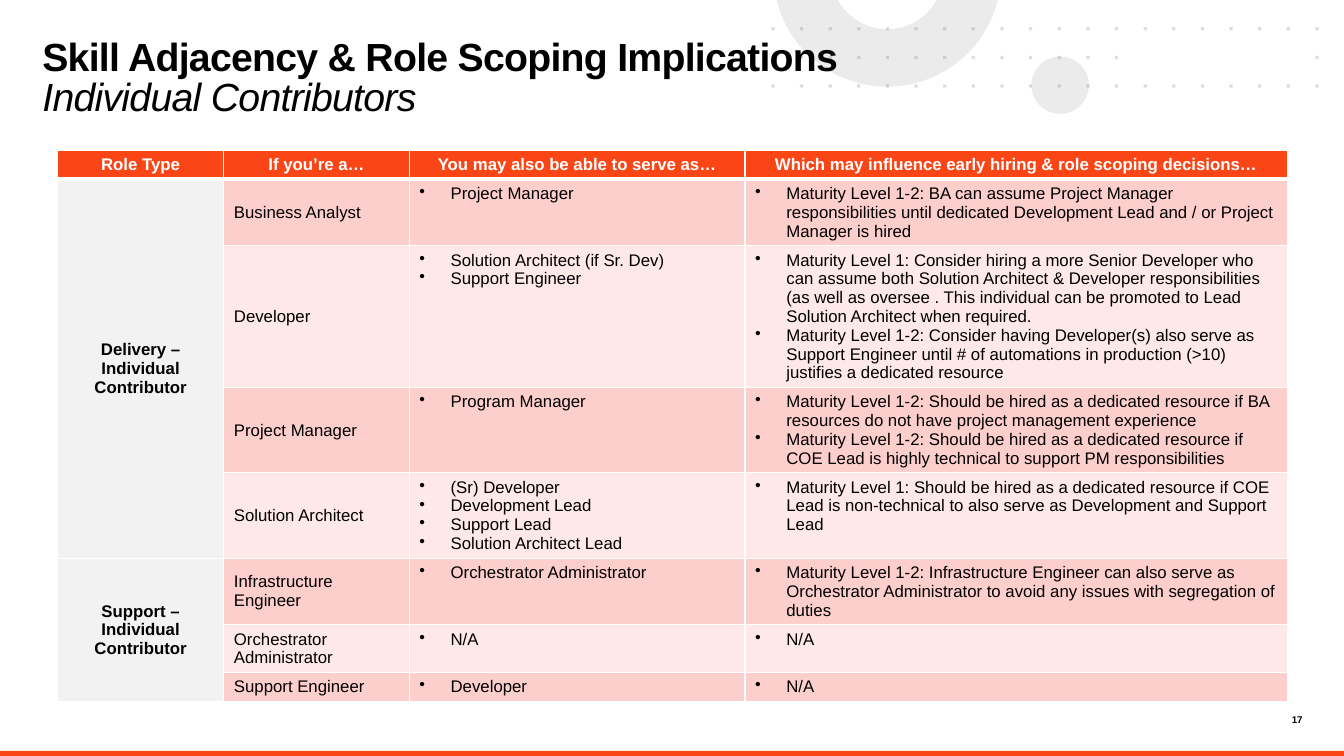
import math
from dataclasses import dataclass
from typing import Any

import pptx
import pptx.dml.color
import pptx.enum.shapes
import pptx.enum.text
import pptx.oxml
import pptx.oxml.ns
import pptx.util

GRID_COLUMNS, GRID_ROWS = 133.3, 75
SLIDE_WIDTH, SLIDE_HEIGHT = pptx.util.Inches(13.33), pptx.util.Inches(7.5)
ORANGE, WHITE, BLACK = "FA4616", "FFFFFF", "000000"
GROUP_FILL, BAND_FILLS = "F2F2F2", ("FDCFCC", "FEE9E8")
ALIGN = pptx.enum.text.PP_ALIGN
ANCHOR = pptx.enum.text.MSO_ANCHOR
PRESET = pptx.enum.shapes.MSO_SHAPE
NO_INSETS = dict(margin_left=0, margin_right=0, margin_top=0, margin_bottom=0,
                 word_wrap=True, vertical_anchor=ANCHOR.TOP,
                 auto_size=pptx.enum.text.MSO_AUTO_SIZE.NONE)


@dataclass(frozen=True)
class Role:
    name: str
    row_height: float
    also_serves: tuple[str, ...]
    influences: tuple[str, ...]


@dataclass(frozen=True)
class RoleGroup:
    name: str
    roles: tuple[Role, ...]


@dataclass(frozen=True)
class Heading:
    text: str
    width: float


HEADINGS = (
    Heading("Role Type", 16.5),
    Heading("If you’re a…", 18.4),
    Heading("You may also be able to serve as…", 33.3),
    Heading("Which may influence early hiring & role scoping decisions…", 53.8),
)
GROUPS = (
    RoleGroup("Delivery – Individual Contributor", (
        Role("Business Analyst", 6.1, ("Project Manager",), (
            "Maturity Level 1-2: BA can assume Project Manager responsibilities until dedicated "
            "Development Lead and / or Project Manager is hired",)),
        Role("Developer", 13.2, ("Solution Architect (if Sr. Dev)", "Support Engineer"), (
            "Maturity Level 1: Consider hiring a more Senior Developer who can assume both "
            "Solution Architect & Developer responsibilities (as well as oversee . This individual "
            "can be promoted to Lead Solution Architect when required.",
            "Maturity Level 1-2: Consider having Developer(s) also serve as Support Engineer until "
            "# of automations in production (>10) justifies a dedicated resource")),
        Role("Project Manager", 7.9, ("Program Manager",), (
            "Maturity Level 1-2: Should be hired as a dedicated resource if BA resources do not "
            "have project management experience",
            "Maturity Level 1-2: Should be hired as a dedicated resource if COE Lead is highly "
            "technical to support PM responsibilities")),
        Role("Solution Architect", 7.9,
             ("(Sr) Developer", "Development Lead", "Support Lead", "Solution Architect Lead"), (
                 "Maturity Level 1: Should be hired as a dedicated resource if COE Lead is "
                 "non-technical to also serve as Development and Support Lead",)),
    )),
    RoleGroup("Support – Individual Contributor", (
        Role("Infrastructure Engineer", 6.1, ("Orchestrator Administrator",), (
            "Maturity Level 1-2: Infrastructure Engineer can also serve as Orchestrator "
            "Administrator to avoid any issues with segregation of duties",)),
        Role("Orchestrator Administrator", 4.4, ("N/A",), ("N/A",)),
        Role("Support Engineer", 2.9, ("Developer",), ("N/A",)),
    )),
)


def across(columns: float) -> int:
    return round(SLIDE_WIDTH * columns / GRID_COLUMNS)


def down(rows: float) -> int:
    return round(SLIDE_HEIGHT * rows / GRID_ROWS)


def area(left: float, top: float, width: float, height: float) -> tuple[int, int, int, int]:
    return across(left), down(top), across(width), down(height)


def color(value: str) -> pptx.dml.color.RGBColor:
    return pptx.dml.color.RGBColor.from_string(value)


def apply_format(target: Any, values: dict[str, Any]) -> None:
    for attribute, value in values.items():
        setattr(target, attribute, value)


def style_font(font: Any, size: float, hue: str, bold: bool = False, italic: bool = False) -> None:
    apply_format(font, dict(name="Arial", size=pptx.util.Pt(size), bold=bold, italic=italic))
    font.color.rgb = color(hue)


def paint(shape: Any, hue: str, opacity: int = 100) -> None:
    shape.shadow.inherit = False
    shape.line.fill.background()
    shape.fill.solid()
    shape.fill.fore_color.rgb = color(hue)
    if opacity < 100:
        tint = shape.fill._xPr.find(".//" + pptx.oxml.ns.qn("a:srgbClr"))
        tint.append(pptx.oxml.parse_xml(
            f'<a:alpha {pptx.oxml.ns.nsdecls("a")} val="{opacity * 1000}"/>'))


def draw_outlines(slide: Any, outlines: list[list[tuple[float, float]]], hue: str, opacity: int) -> None:
    scaled = [[(across(x), down(y)) for x, y in outline] for outline in outlines]
    builder = slide.shapes.build_freeform(*scaled[0][0])
    for outline in scaled:
        builder.move_to(*outline[0])
        builder.add_line_segments(outline[1:], close=True)
    paint(builder.convert_to_shape(), hue, opacity)


def arc(radius: float, center_x: float, center_y: float) -> list[tuple[float, float]]:
    start, steps = math.asin(-center_y / radius), 60
    angles = [start + (math.pi - 2 * start) * step / steps for step in range(steps + 1)]
    return [(center_x + radius * math.cos(angle), center_y + radius * math.sin(angle))
            for angle in angles]


def draw_decoration(slide: Any) -> None:
    paint(slide.shapes.add_shape(PRESET.RECTANGLE, *area(0, 74.5, GRID_COLUMNS, 0.5)), ORANGE)
    paint(slide.shapes.add_shape(PRESET.OVAL, *area(102.3, 5.6, 5.7, 5.7)), "D9D9D9", 50)
    ring = arc(11.3, 88, -2.7) + arc(5.6, 88, -2.7)[::-1]
    draw_outlines(slide, [ring], "D9D9D9", 50)
    pitch, dot = 2.84, 0.32
    corners = [(76.5 + column * pitch, 2.7 + row * pitch)
               for row in range(3) for column in range(20)
               if row != 1 or not 13 <= column <= 18]
    dots = [[(x, y), (x + dot, y), (x + dot, y + dot), (x, y + dot)] for x, y in corners]
    draw_outlines(slide, dots, "58595B", 20)


def write_title(slide: Any) -> None:
    title = slide.shapes.title
    slide.shapes._spTree.append(title._element)
    apply_format(title, dict(zip(("left", "top", "width", "height"), area(4.2, 3.9, 81.7, 7.5))))
    apply_format(title.text_frame, NO_INSETS)
    paragraph = title.text_frame.paragraphs[0]
    apply_format(paragraph, dict(alignment=ALIGN.LEFT, line_spacing=0.85))
    topic = paragraph.add_run()
    topic.text = "Skill Adjacency & Role Scoping Implications"
    paragraph.add_line_break()
    audience = paragraph.add_run()
    audience.text = "Individual Contributors"
    style_font(topic.font, 28, BLACK, bold=True)
    style_font(audience.font, 28, BLACK, italic=True)
    for run in (topic, audience):
        run.font._element.set("spc", "-50")


def write_page_number(slide: Any) -> None:
    page_number = slide.shapes.add_textbox(*area(125.3, 70.8, 3.9, 1.3)).text_frame
    apply_format(page_number, NO_INSETS)
    paragraph = page_number.paragraphs[0]
    apply_format(paragraph, dict(text="17", alignment=ALIGN.RIGHT))
    style_font(paragraph.runs[0].font, 7, BLACK, bold=True)


def fill_cell(cell: Any, lines: tuple[str, ...], fill: str, hue: str = BLACK, bold: bool = False,
              bulleted: bool = False, top: int = 1, bottom: int = 1) -> None:
    cell.fill.solid()
    cell.fill.fore_color.rgb = color(fill)
    cell.vertical_anchor = ANCHOR.TOP if bulleted else ANCHOR.MIDDLE
    properties = cell._tc.get_or_add_tcPr()
    for position, (edge, points) in enumerate((("L", 1), ("R", 1), ("T", top), ("B", bottom))):
        properties.insert(position, pptx.oxml.parse_xml(
            f'<a:ln{edge} {pptx.oxml.ns.nsdecls("a")} w="{pptx.util.Pt(points)}">'
            f'<a:solidFill><a:srgbClr val="{WHITE}"/></a:solidFill></a:ln{edge}>'))
    cell.text = "\n".join(lines)
    for paragraph in cell.text_frame.paragraphs:
        paragraph.alignment = ALIGN.CENTER if bold else ALIGN.LEFT
        if bulleted:
            indent = across(3.1)
            settings = paragraph._p.get_or_add_pPr()
            settings.set("marL", str(indent))
            settings.set("indent", str(-indent))
            settings.append(pptx.oxml.parse_xml(
                f'<a:buChar {pptx.oxml.ns.nsdecls("a")} char="•"/>'))
        for run in paragraph.runs:
            style_font(run.font, 12, hue, bold)


def draw_role_table(slide: Any) -> None:
    heights = [2.6] + [role.row_height for group in GROUPS for role in group.roles]
    table = slide.shapes.add_table(len(heights), len(HEADINGS),
                                   *area(5.7, 14.9, 122, sum(heights))).table
    table.horz_banding = False
    for row, height in zip(table.rows, heights):
        row.height = down(height)
    for index, heading in enumerate(HEADINGS):
        table.columns[index].width = across(heading.width)
        fill_cell(table.cell(0, index), (heading.text,), ORANGE, WHITE, bold=True, bottom=3)
    row = 1
    for group in GROUPS:
        first = row
        for role in group.roles:
            band, top = BAND_FILLS[(row - 1) % 2], 3 if row == 1 else 1
            fill_cell(table.cell(row, 0), (group.name,) if row == first else (),
                      GROUP_FILL, bold=True, top=top)
            fill_cell(table.cell(row, 1), (role.name,), band, top=top)
            fill_cell(table.cell(row, 2), role.also_serves, band, bulleted=True, top=top)
            fill_cell(table.cell(row, 3), role.influences, band, bulleted=True, top=top)
            row += 1
        table.cell(first, 0).merge(table.cell(row - 1, 0))


def main() -> None:
    presentation = pptx.Presentation()
    apply_format(presentation, dict(slide_width=SLIDE_WIDTH, slide_height=SLIDE_HEIGHT))
    slide = presentation.slides.add_slide(presentation.slide_layouts.get_by_name("Title Only"))
    draw_decoration(slide)
    write_page_number(slide)
    write_title(slide)
    draw_role_table(slide)
    presentation.save("out.pptx")


if __name__ == "__main__":
    main()
